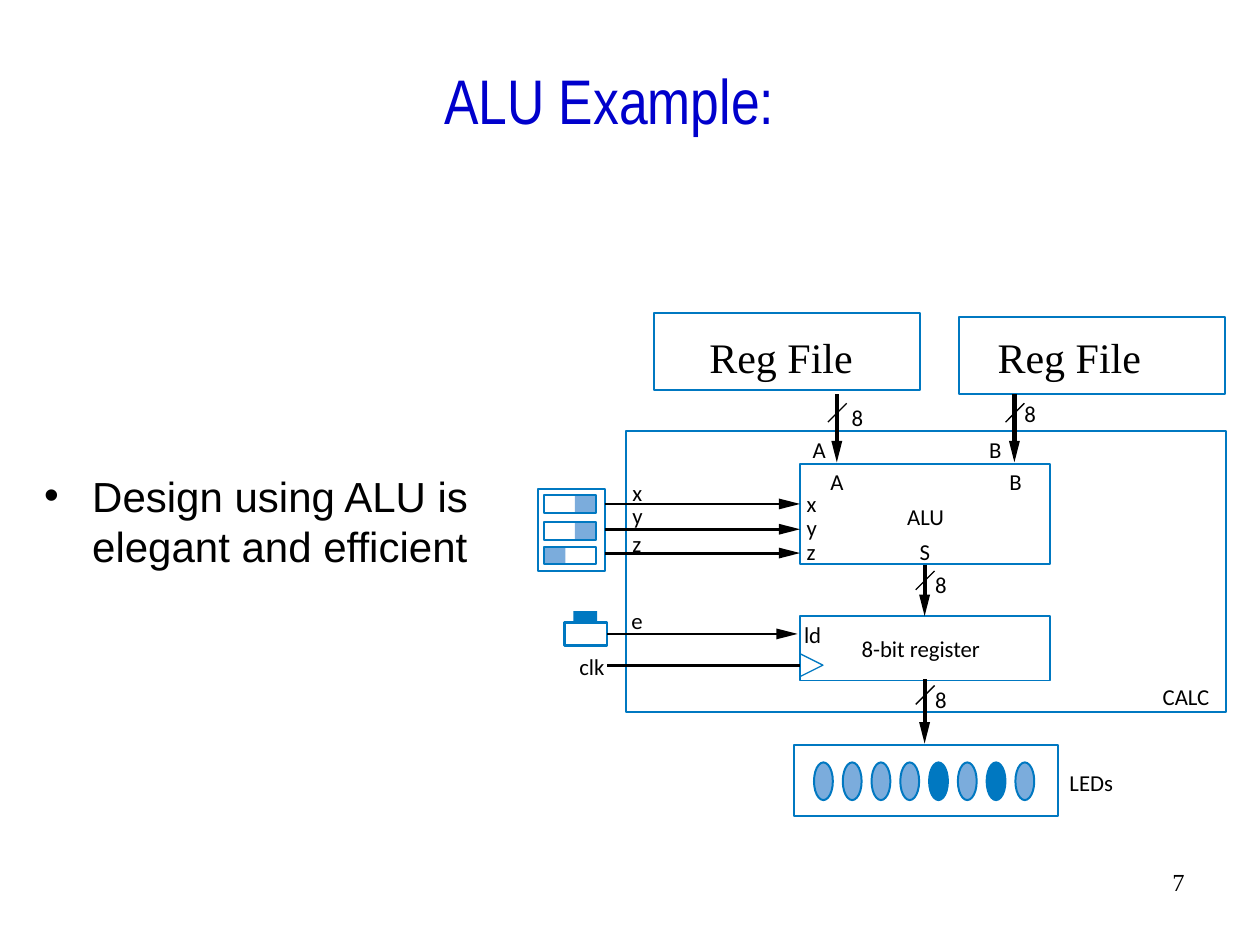
from pptx import Presentation
from pptx.dml.color import RGBColor
from pptx.enum.shapes import MSO_CONNECTOR, MSO_SHAPE
from pptx.enum.text import MSO_ANCHOR, PP_ALIGN
from pptx.oxml.ns import qn
from pptx.util import Cm, Pt
from lxml import etree

RECTANGLE, OVAL = MSO_SHAPE.RECTANGLE, MSO_SHAPE.OVAL
STRAIGHT = MSO_CONNECTOR.STRAIGHT
LEFT, CENTER, RIGHT = PP_ALIGN.LEFT, PP_ALIGN.CENTER, PP_ALIGN.RIGHT
TOP, MIDDLE = MSO_ANCHOR.TOP, MSO_ANCHOR.MIDDLE
COLORS = {"ink": "000000", "title": "0000CC", "blue": "0078C1", "light": "7BACDC"}


def write_text(frame, text, font="Calibri", size=13, color="ink", align=LEFT,
               anchor=TOP, wrap=False, insets=(0, 0, 0, 0), bullet_indent=None):
    """Fill a text frame with one formatted paragraph."""
    frame.word_wrap = wrap
    frame.vertical_anchor = anchor
    frame.margin_left, frame.margin_top, frame.margin_right, frame.margin_bottom = map(Cm, insets)
    paragraph = frame.paragraphs[0]
    paragraph.alignment = align
    run = paragraph.add_run()
    run.text = text
    run.font.name = font
    run.font.size = Pt(size)
    run.font.color.rgb = RGBColor.from_string(COLORS[color])
    if bullet_indent:
        paragraph.space_before = Pt(6)
        properties = paragraph._p.get_or_add_pPr()
        properties.set("marL", str(Cm(bullet_indent)))
        properties.set("indent", str(-Cm(bullet_indent)))
        etree.SubElement(properties, qn("a:buFont")).set("typeface", "Arial")
        etree.SubElement(properties, qn("a:buChar")).set("char", "•")


class Diagram:
    """Draws circuit elements on one slide in a shared style."""

    thin, outline, wire_width, bus_width = 0.75, 1.13, 1.62, 2.38
    head_length, head_half = 0.43, 0.11

    def __init__(self, slide):
        self.slide = slide

    def paint(self, shape, fill, line, width):
        shape.shadow.inherit = False
        if fill:
            shape.fill.solid()
            shape.fill.fore_color.rgb = RGBColor.from_string(COLORS[fill])
        else:
            shape.fill.background()
        if line:
            shape.line.color.rgb = RGBColor.from_string(COLORS[line])
            shape.line.width = Pt(width)
        else:
            shape.line.fill.background()

    def box(self, left, top, width, height, kind=RECTANGLE, fill=None,
            line="blue", line_width=outline):
        shape = self.slide.shapes.add_shape(kind, Cm(left), Cm(top), Cm(width), Cm(height))
        self.paint(shape, fill, line, line_width)

    def text(self, text, left, top, width, height=0.56, **style):
        shape = self.slide.shapes.add_textbox(Cm(left), Cm(top), Cm(width), Cm(height))
        write_text(shape.text_frame, text, **style)

    def line(self, start, end, width):
        connector = self.slide.shapes.add_connector(STRAIGHT, *map(Cm, start + end))
        connector.line.color.rgb = RGBColor.from_string(COLORS["ink"])
        connector.line.width = Pt(width)
        etree.SubElement(connector._element.spPr, qn("a:effectLst"))

    def outline_shape(self, points, close=True, fill=None, line=None):
        start, *others = [(Cm(x), Cm(y)) for x, y in points]
        builder = self.slide.shapes.build_freeform(*start)
        builder.add_line_segments(others, close=close)
        self.paint(builder.convert_to_shape(), fill, line, self.thin)

    def wire(self, left, tip, y):
        self.line((left, y), (tip - 0.36, y), self.wire_width)
        back = tip - self.head_length
        self.outline_shape([(tip, y), (back, y - self.head_half),
                            (back, y + self.head_half)], fill="ink")

    def bus(self, x, top, tip, slash_top):
        self.line((x + 0.2, slash_top), (x - 0.18, slash_top + 0.38), self.thin)
        self.line((x, top), (x, tip - 0.36), self.bus_width)
        back = tip - self.head_length
        self.outline_shape([(x, tip), (x + self.head_half, back),
                            (x - self.head_half, back)], fill="ink")

    def switch(self, top, is_left):
        left, width, knob = 10.97, 1.05, 0.43
        self.box(left if is_left else left + width - knob, top, knob, 0.36,
                 fill="light", line=None)
        self.box(left, top, width, 0.36)


def main():
    presentation = Presentation()
    presentation.slide_width, presentation.slide_height = Cm(25.4), Cm(19.05)
    diagram = Diagram(presentation.slides.add_slide(presentation.slide_layouts[6]))
    normal = (0.25, 0.13, 0.25, 0.13)

    diagram.text("7", 18.85, 17.35, 5.28, 1.27, font="Times New Roman", size=14,
                 align=RIGHT, wrap=True, insets=normal)
    diagram.text("ALU Example:", 0.64, 0.84, 23.93, 2.34, font="Arial Narrow", size=36,
                 color="title", align=CENTER, anchor=MIDDLE, wrap=True,
                 insets=(0.25, 0.13, 0.89, 0.13))
    diagram.text("Design using ALU is elegant and efficient", 0.64, 9.35, 10.08, 7.57,
                 font="Arial", size=24, wrap=True, insets=normal, bullet_indent=0.97)

    calculator = (12.62, 8.69, 12.09, 5.66)
    alu = (16.13, 9.35, 5.03, 2.03)
    register = (16.13, 12.42, 5.03, 1.3)
    led_panel = (16, 15.01, 5.33, 1.45)
    switch_panel = (10.85, 9.86, 1.35, 1.65)
    register_files = [(13.18, 6.32, 5.36, 1.55), (19.33, 6.4, 5.36, 1.55)]
    for block in [calculator, alu, register, led_panel, switch_panel, *register_files]:
        diagram.box(*block)
    for left in (14.05, 19.86):
        diagram.text("Reg File", left, 6.55, 3.4, 1.27, font="Times New Roman",
                     size=24, insets=normal)

    for top, is_left in [(9.98, False), (10.52, False), (11.02, True)]:
        diagram.switch(top, is_left)
    for index, state in enumerate("00001010"):
        diagram.box(16.41 + 0.58 * index, 15.37, 0.38, 0.76, kind=OVAL,
                    fill="blue" if state == "1" else "light")
    diagram.box(11.38, 12.55, 0.86, 0.46, line_width=diagram.wire_width)
    diagram.box(11.56, 12.32, 0.48, 0.25, fill="blue", line=None)

    for y in (10.16, 10.67, 11.15):
        diagram.wire(12.19, 16.13, y)
    diagram.wire(12.24, 16.08, 12.78)
    diagram.line((12.24, 13.41), (16.13, 13.41), diagram.wire_width)
    diagram.outline_shape([(16.13, 13.64), (16.59, 13.41), (16.13, 13.18)],
                          close=False, line="blue")
    for x, top, tip, slash_top in [(16.87, 7.95, 9.32, 8.13), (20.45, 7.95, 9.32, 8.13),
                                   (18.64, 11.38, 12.42, 11.51),
                                   (18.64, 13.69, 14.99, 13.82)]:
        diagram.bus(x, top, tip, slash_top)

    labels = [
        ("8-bit register", 17.37, 12.8, 2.77), ("ALU", 18.29, 10.13, 0.86),
        ("S", 18.54, 10.85, 0.25), ("CALC", 23.44, 13.77, 1.02),
        ("LEDs", 21.56, 15.49, 1.04), ("clk", 11.68, 13.16, 0.58),
        ("e", 12.73, 12.24, 0.25), ("ld", 16.21, 12.52, 0.41),
        ("x", 12.75, 9.65, 0.25), ("y", 12.75, 10.11, 0.25), ("z", 12.75, 10.67, 0.25),
        ("x", 16.26, 9.88, 0.25), ("y", 16.26, 10.36, 0.25), ("z", 16.26, 10.85, 0.25),
        ("A", 16.38, 8.79, 0.3), ("A", 16.74, 9.42, 0.3),
        ("B", 19.94, 8.79, 0.3), ("B", 20.35, 9.42, 0.3),
        ("8", 17.17, 8.13, 0.25), ("8", 20.65, 8.05, 0.25),
        ("8", 18.85, 11.51, 0.25), ("8", 18.85, 13.82, 0.25),
    ]
    for label in labels:
        diagram.text(*label)

    presentation.save("out.pptx")


if __name__ == "__main__":
    main()
